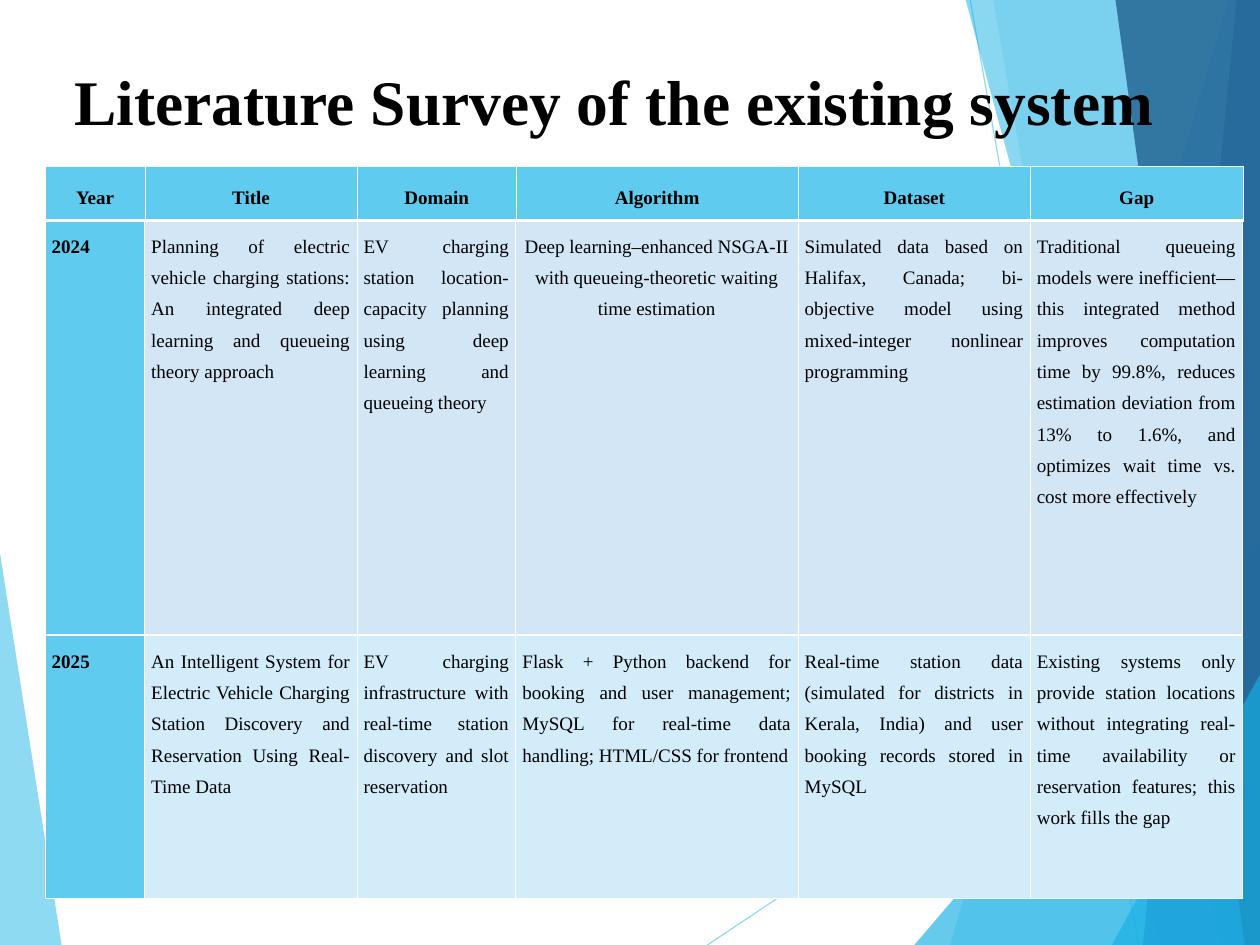
from lxml.etree import SubElement
from pptx import Presentation
from pptx.dml.color import RGBColor
from pptx.enum.shapes import MSO_CONNECTOR
from pptx.enum.text import MSO_ANCHOR, MSO_AUTO_SIZE, PP_ALIGN as Align
from pptx.oxml import parse_xml
from pptx.oxml.ns import nsdecls, qn
from pptx.util import Cm, Pt

WIDTH, HEIGHT = 28, 21  # slide size in cm

BLACK = RGBColor(0x00, 0x00, 0x00)
WHITE = RGBColor(0xFF, 0xFF, 0xFF)
SKY = RGBColor(0x5F, 0xCB, 0xEF)
CYAN = RGBColor(0x17, 0xB0, 0xE4)
BLUE = RGBColor(0x2E, 0x83, 0xC3)
NAVY = RGBColor(0x23, 0x62, 0x92)
PALE_BLUE = RGBColor(0xD3, 0xE6, 0xF5)
PALE_SKY = RGBColor(0xD2, 0xEC, 0xF9)

THIN, THICK = 0.45, 1.47  # cell border widths in points
COLUMN_WIDTHS = [2.21, 4.72, 3.53, 6.27, 5.16, 4.72]

HEADINGS = ["Year", "Title", "Domain", "Algorithm", "Dataset", "Gap"]
SURVEY = [
    ["2024",
     "Planning of electric vehicle charging stations: An integrated deep "
     "learning and queueing theory approach",
     "EV charging station location-capacity planning using deep learning "
     "and queueing theory",
     "Deep learning–enhanced NSGA-II with queueing-theoretic waiting time "
     "estimation",
     "Simulated data based on Halifax, Canada; bi-objective model using "
     "mixed-integer nonlinear programming",
     "Traditional queueing models were inefficient—this integrated method "
     "improves computation time by 99.8%, reduces estimation deviation from "
     "13% to 1.6%, and optimizes wait time vs. cost more effectively"],
    ["2025",
     "An Intelligent System for Electric Vehicle Charging Station Discovery "
     "and Reservation Using Real-Time Data",
     "EV charging infrastructure with real-time station discovery and slot "
     "reservation",
     "Flask + Python backend for booking and user management; MySQL for "
     "real-time data handling; HTML/CSS for frontend",
     "Real-time station data (simulated for districts in Kerala, India) and "
     "user booking records stored in MySQL",
     "Existing systems only provide station locations without integrating "
     "real-time availability or reservation features; this work fills the gap"],
]


def write(frame, text, size=12, bold=False, align=Align.LEFT, spacing=None):
    paragraph = frame.paragraphs[0]
    paragraph.alignment = align
    paragraph.line_spacing = spacing
    run = paragraph.add_run()
    run.text = text
    run.font.name = "Times New Roman"
    run.font.size = Pt(size)
    run.font.bold = bold
    run.font.color.rgb = BLACK


def set_opacity(fill, percent):
    color = fill._xPr.find(qn("a:solidFill"))[0]
    SubElement(color, qn("a:alpha"), val=str(percent * 1000))


class SurveySlide:
    def __init__(self, deck):
        self.slide = deck.slides.add_slide(deck.slide_layouts[5])
        self.shapes = self.slide.shapes

    def title(self, text, left, top, width, height):
        title = self.shapes.title
        self.shapes.element.append(title.element)  # in front of the backdrop
        title.left, title.top = Cm(left), Cm(top)
        title.width, title.height = Cm(width), Cm(height)
        frame = title.text_frame
        frame.auto_size = MSO_AUTO_SIZE.NONE
        frame.vertical_anchor = MSO_ANCHOR.TOP
        frame.margin_top = Cm(0.33)
        write(frame, text, size=40, bold=True)

    def facet(self, points, color, opacity):
        corners = [(Cm(x), Cm(y)) for x, y in points]
        outline = self.shapes.build_freeform(*corners[0])
        outline.add_line_segments(corners[1:], close=True)
        facet = outline.convert_to_shape()
        facet.shadow.inherit = False
        facet.line.fill.background()
        facet.fill.solid()
        facet.fill.fore_color.rgb = color
        set_opacity(facet.fill, opacity)

    def ray(self, start, end):
        ends = [Cm(value) for value in (*start, *end)]
        ray = self.shapes.add_connector(MSO_CONNECTOR.STRAIGHT, *ends)
        ray.line.width = Pt(0.75)
        ray.line.color.rgb = SKY
        set_opacity(ray.line.fill, 70)
        SubElement(ray.element.spPr, qn("a:effectLst"))

    def table(self, left, top, row_heights):
        table = self.shapes.add_table(
            len(row_heights), len(COLUMN_WIDTHS), Cm(left), Cm(top),
            Cm(sum(COLUMN_WIDTHS)), Cm(sum(row_heights))).table
        table.first_row = table.horz_banding = False
        for column, width in zip(table.columns, COLUMN_WIDTHS):
            column.width = Cm(width)
        for row, height in zip(table.rows, row_heights):
            row.height = Cm(height)
        return table

    def cell(self, cell, text, fill, side_margin, top=THIN, bottom=THIN, **style):
        cell.margin_left = cell.margin_right = Cm(side_margin)
        cell.margin_top = cell.margin_bottom = Cm(0.13)
        cell.fill.solid()
        cell.fill.fore_color.rgb = fill
        properties = cell._tc.get_or_add_tcPr()
        borders = {"lnL": THIN, "lnR": THIN, "lnT": top, "lnB": bottom}
        for position, (tag, width) in enumerate(borders.items()):
            properties.insert(position, parse_xml(
                f'<a:{tag} {nsdecls("a")} w="{Pt(width)}"><a:solidFill>'
                f'<a:srgbClr val="{WHITE}"/></a:solidFill></a:{tag}>'))
        write(cell.text_frame, text, spacing=1.48, **style)


def draw_backdrop(page):
    def band(top_x, bottom_x):
        return [(top_x, 0), (bottom_x, HEIGHT), (WIDTH, HEIGHT), (WIDTH, 0)]

    def corner(left_x, peak_y):
        return [(left_x, HEIGHT), (WIDTH, peak_y), (WIDTH, HEIGHT)]

    page.facet([(0, 12.29), (1.37, HEIGHT), (0, HEIGHT)], SKY, 70)
    page.ray((15.72, HEIGHT), (WIDTH, 12.8))
    page.ray((21.56, 0), (25.3, HEIGHT))
    for points, color, opacity in [
        (band(27.3, 21.11), SKY, 36),
        (band(22.07, 25.76), SKY, 20),
        (corner(20.32, 12.01), CYAN, 66),
        (band(21.46, 27.15), CYAN, 50),
        (band(27.48, 25.4), BLUE, 70),
        (band(24.79, 27.66), NAVY, 82),
        (corner(24.71, 14.99), CYAN, 66),
    ]:
        page.facet(points, color, opacity)


def main():
    deck = Presentation()
    deck.slide_width, deck.slide_height = Cm(WIDTH), Cm(HEIGHT)
    page = SurveySlide(deck)

    # Backdrop and title
    draw_backdrop(page)
    page.title("Literature Survey of the existing system", 1.4, 1.04, 25.2, 4.04)

    # Survey entries
    entries = page.table(1, 4.9, [9.22, 5.84])
    borders = [{"bottom": THICK}, {"top": THICK}]
    for r, (entry, fill) in enumerate(zip(SURVEY, [PALE_BLUE, PALE_SKY])):
        for c, text in enumerate(entry):
            is_year = c == 0
            centred = HEADINGS[c] == "Algorithm" and r == 0
            page.cell(entries.cell(r, c), text, SKY if is_year else fill, 0.15,
                      bold=is_year, align=Align.CENTER if centred else Align.JUSTIFY,
                      **borders[r])

    # Column headings
    header = page.table(1.01, 3.7, [1.2])
    for c, heading in enumerate(HEADINGS):
        cell = header.cell(0, c)
        cell.vertical_anchor = MSO_ANCHOR.MIDDLE
        page.cell(cell, heading, SKY, 0.13, bottom=THICK, bold=True,
                  align=Align.CENTER)

    deck.save("out.pptx")


if __name__ == "__main__":
    main()
